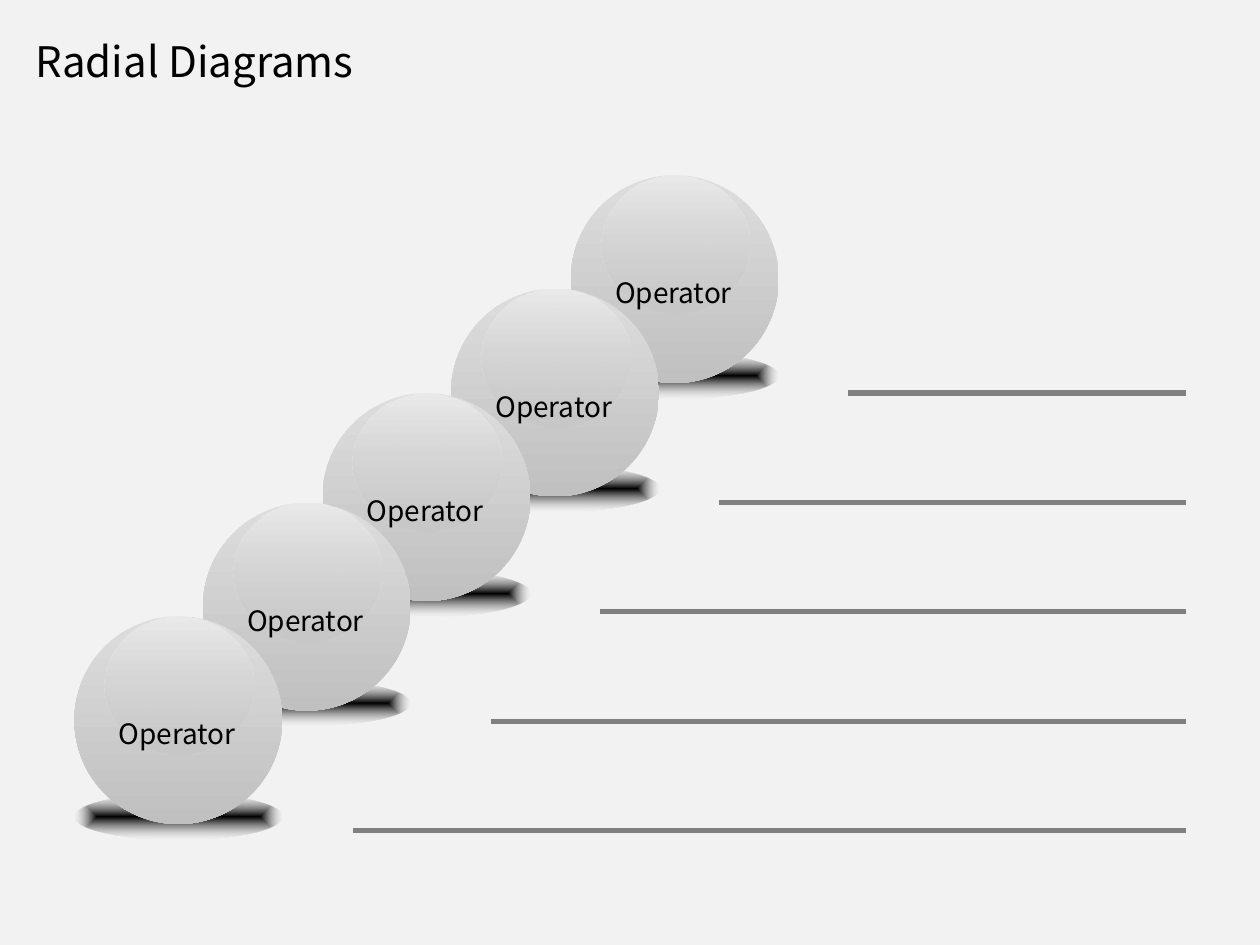
from dataclasses import dataclass

from lxml.etree import SubElement
from pptx import Presentation
from pptx.dml.color import RGBColor
from pptx.enum.shapes import MSO_CONNECTOR as Connector, MSO_SHAPE as Shape
from pptx.enum.text import MSO_ANCHOR as Anchor, MSO_AUTO_SIZE as AutoSize, PP_ALIGN as Align
from pptx.oxml.ns import qn
from pptx.util import Inches, Pt

# The grid has 100 columns and 75 rows, each a tenth of an inch.
CELL = Inches(0.1)
COLUMNS, ROWS = 100, 75

FONT = "Noto Sans CJK KR"
PAPER = RGBColor(0xF2, 0xF2, 0xF2)
BLACK = RGBColor(0x00, 0x00, 0x00)
SILVER = RGBColor(0xC0, 0xC0, 0xC0)
BALL_TOP = RGBColor(0xDD, 0xDD, 0xDD)
SHINE_TOP = RGBColor(0xEA, 0xEA, 0xEA)
RULE_GREY = RGBColor(0x80, 0x80, 0x80)

RULE_END = 94.1
FIRST_RULE, RULE_STEP = 31.2, 8.68


@dataclass(frozen=True)
class Area:
    column: float
    row: float
    width: float
    height: float

    def lengths(self, column: float = 0, row: float = 0) -> tuple[int, ...]:
        """Left, top, width and height, moved by the given columns and rows."""
        cells = (self.column + column, self.row + row, self.width, self.height)
        return tuple(round(cell * CELL) for cell in cells)


@dataclass(frozen=True)
class Gradient:
    start: RGBColor
    end_opacity: int = 100
    from_centre: bool = False


@dataclass(frozen=True)
class Step:
    column: float
    row: float
    rule_start: float
    label: str = "Operator"


TITLE = Area(2.7, 2.8, 25.5, 3.3)
LABEL = Area(2.9, 8.0, 10.5, 2.2)
BALL_LAYERS = (
    (Area(0, 14.1, 16.5, 3.6), Gradient(BLACK, 0, True)),
    (Area(0, 0, 16.5, 16.5), Gradient(BALL_TOP)),
    (Area(2.4, 0, 11.8, 11), Gradient(SHINE_TOP, 20)),
)
STEPS = (
    Step(45.3, 13.9, 67.3),
    Step(35.8, 22.9, 57.1),
    Step(25.6, 31.2, 47.6),
    Step(16.1, 39.9, 39),
    Step(5.9, 48.9, 28),
)


def apply_gradient(shape, gradient: Gradient) -> None:
    shape.fill.gradient()
    fill = shape._element.spPr.find(qn("a:gradFill"))
    for child in list(fill):
        fill.remove(child)
    stops = SubElement(fill, qn("a:gsLst"))
    for position, color, opacity in ((0, gradient.start, 100), (100, SILVER, gradient.end_opacity)):
        stop = SubElement(stops, qn("a:gs"), pos=str(position * 1000))
        tone = SubElement(stop, qn("a:srgbClr"), val=str(color))
        if opacity < 100:
            SubElement(tone, qn("a:alpha"), val=str(opacity * 1000))
    if gradient.from_centre:
        path = SubElement(fill, qn("a:path"), {"path": "shape"})
        SubElement(path, qn("a:fillToRect"), {side: "50000" for side in "ltrb"})
    else:
        SubElement(fill, qn("a:lin"), ang=str(90 * 60000), scaled="0")


def write_text(box, text: str, size: int) -> None:
    frame = box.text_frame
    frame_format = {
        "word_wrap": False, "auto_size": AutoSize.NONE, "vertical_anchor": Anchor.TOP,
        "margin_left": 0, "margin_top": 0, "margin_right": 0, "margin_bottom": 0,
    }
    for name, value in frame_format.items():
        setattr(frame, name, value)
    para = frame.paragraphs[0]
    para.alignment = Align.CENTER
    span = para.add_run()
    span.text = text
    for name, value in {"name": FONT, "size": Pt(size), "bold": False}.items():
        setattr(span.font, name, value)
    span.font.color.rgb = BLACK
    SubElement(span.font._element, qn("a:ea"), typeface=FONT)


def draw_title(page, text: str) -> None:
    title = page.shapes.title
    title.left, title.top, title.width, title.height = TITLE.lengths()
    write_text(title, text, 24)


def draw_ball(page, step: Step) -> None:
    for area, gradient in BALL_LAYERS:
        oval = page.shapes.add_shape(Shape.OVAL, *area.lengths(step.column, step.row))
        oval.shadow.inherit = False
        oval.line.fill.background()
        apply_gradient(oval, gradient)
    label = page.shapes.add_textbox(*LABEL.lengths(step.column, step.row))
    write_text(label, step.label, 16)


def draw_rule(page, start: float, row: float) -> None:
    ends = (round(cell * CELL) for cell in (start, row, RULE_END, row))
    rule = page.shapes.add_connector(Connector.STRAIGHT, *ends)
    rule.line.color.rgb = RULE_GREY
    rule.line.width = Pt(3)
    SubElement(rule._element.spPr, qn("a:effectLst"))


def main() -> None:
    deck = Presentation()
    deck.slide_width, deck.slide_height = COLUMNS * CELL, ROWS * CELL
    page = deck.slides.add_slide(deck.slide_layouts[5])
    page.background.fill.solid()
    page.background.fill.fore_color.rgb = PAPER
    draw_title(page, "Radial Diagrams")
    for step in STEPS:
        draw_ball(page, step)
    for index, step in enumerate(STEPS):
        draw_rule(page, step.rule_start, FIRST_RULE + index * RULE_STEP)
    deck.save("out.pptx")


if __name__ == "__main__":
    main()
